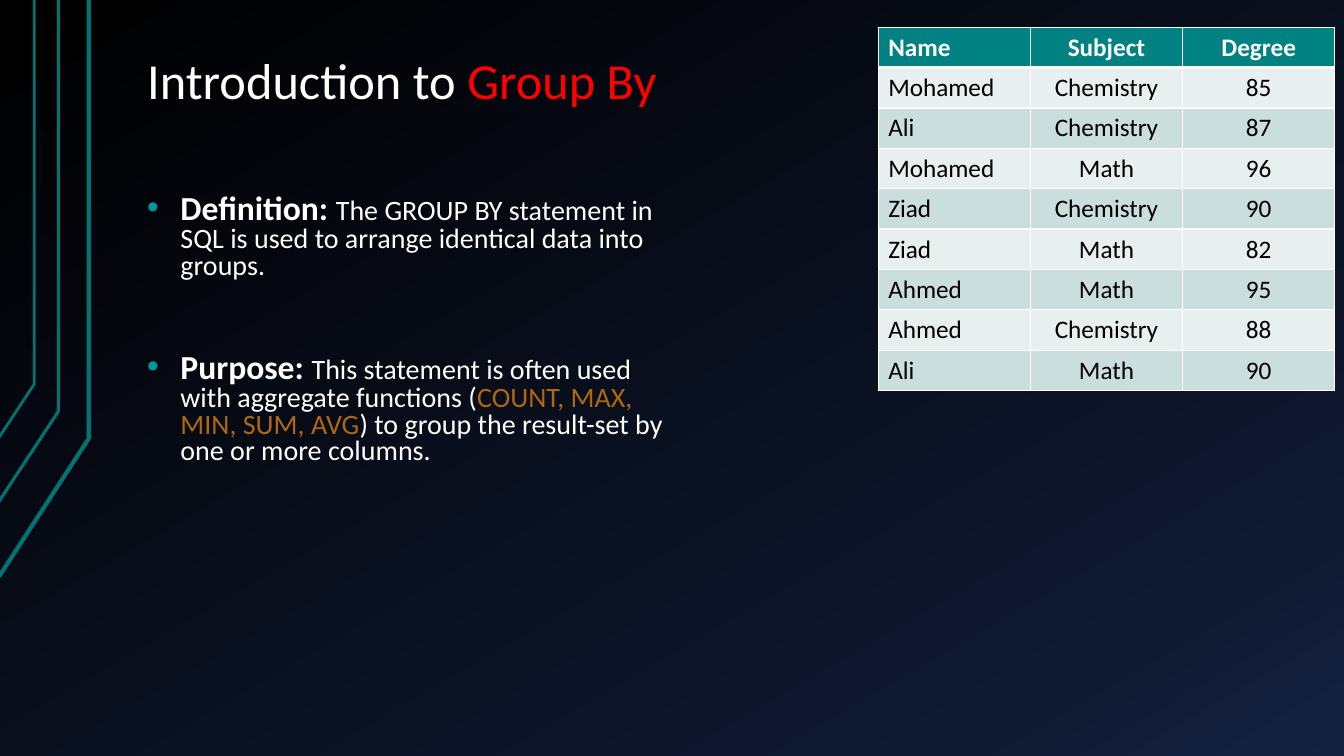
from copy import deepcopy

from lxml import etree
from pptx import Presentation
from pptx.dml.color import RGBColor
from pptx.enum.text import MSO_ANCHOR, PP_ALIGN
from pptx.oxml.ns import qn
from pptx.util import Inches, Pt

TOP, MIDDLE, BOTTOM = MSO_ANCHOR.TOP, MSO_ANCHOR.MIDDLE, MSO_ANCHOR.BOTTOM
LEFT, CENTER = PP_ALIGN.LEFT, PP_ALIGN.CENTER

FONT = "Calibri"
COLORS = {
    "white": "FFFFFF",
    "black": "000000",
    "red": "FF0000",
    "amber": "AF6710",
    "bullet": "009999",
    "trace": "007373",
    "header": "008282",
    "light_row": "E7EFEF",
    "dark_row": "CBDEDE",
    "navy": "0F1931",
    "blue": "142242",
}
BACKGROUND_STOPS = [(0, "black"), (0.85, "navy"), (1, "blue")]
TRACES = [
    ([(-0.01, 5.72), (0.88, 4.35), (0.88, 0)], 3),
    ([(-0.02, 4.99), (0.58, 4.08), (0.58, 0)], 2.25),
    ([(-0.01, 4.34), (0.34, 3.81), (0.34, 0)], 2),
]
GRADES = [
    ("Name", "Subject", "Degree"),
    ("Mohamed", "Chemistry", "85"),
    ("Ali", "Chemistry", "87"),
    ("Mohamed", "Math", "96"),
    ("Ziad", "Chemistry", "90"),
    ("Ziad", "Math", "82"),
    ("Ahmed", "Math", "95"),
    ("Ahmed", "Chemistry", "88"),
    ("Ali", "Math", "90"),
]


def rgb(name):
    return RGBColor.from_string(COLORS[name])


def add_span(para, text, size=20, color="white", bold=False):
    span = para.add_run()
    span.text = text
    span.font.name = FONT
    span.font.size = Pt(size)
    span.font.bold = bold
    span.font.color.rgb = rgb(color)


def add_bullet(para, indent):
    properties = para._p.get_or_add_pPr()
    properties.set("marL", str(Inches(indent)))
    properties.set("indent", str(-Inches(indent)))
    color = etree.SubElement(properties, qn("a:buClr"))
    etree.SubElement(color, qn("a:srgbClr"), val=COLORS["bullet"])
    etree.SubElement(properties, qn("a:buFont"), typeface="Arial")
    etree.SubElement(properties, qn("a:buChar"), char="•")


def add_border(cell, side, width):
    """Draw a white border on one side of a cell: L, R, T or B."""
    properties = cell._tc.get_or_add_tcPr()
    line = etree.SubElement(properties, qn(f"a:ln{side}"), w=str(Pt(width)))
    fill = etree.SubElement(line, qn("a:solidFill"))
    etree.SubElement(fill, qn("a:srgbClr"), val=COLORS["white"])


class SlideBuilder:
    def __init__(self, page):
        self.page = page

    def background(self, stops, angle):
        fill = self.page.background.fill
        fill.gradient()
        fill.gradient_angle = 360 - angle
        stop_list = self.page._element.find(".//" + qn("a:gsLst"))
        while len(stop_list) < len(stops):
            stop_list.append(deepcopy(stop_list[-1]))
        for stop, (position, color) in zip(fill.gradient_stops, stops):
            stop.position = position
            stop.color.rgb = rgb(color)

    def trace(self, points, width):
        """Draw an open, unfilled line through the points."""
        corners = [(Inches(x), Inches(y)) for x, y in points]
        builder = self.page.shapes.build_freeform(*corners[0])
        builder.add_line_segments(corners[1:], close=False)
        shape = builder.convert_to_shape()
        shape.shadow.inherit = False
        shape.fill.background()
        shape.line.color.rgb = rgb("trace")
        shape.line.width = Pt(width)

    def text(self, left, top, width, height, paragraphs, anchor=TOP,
             bottom_inset=0.07, line_spacing=1.0, spaces_before=(0,), bullet_indent=0):
        """Each paragraph is a list of (text, format) pairs."""
        box = self.page.shapes.add_textbox(*map(Inches, (left, top, width, height)))
        frame = box.text_frame
        frame.word_wrap = True
        frame.vertical_anchor = anchor
        frame.margin_left = frame.margin_right = Inches(0.13)
        frame.margin_top = Inches(0.07)
        frame.margin_bottom = Inches(bottom_inset)
        for index, spans in enumerate(paragraphs):
            para = frame.add_paragraph() if index else frame.paragraphs[0]
            para.line_spacing = line_spacing
            para.space_before = Pt(spaces_before[index])
            if bullet_indent:
                add_bullet(para, bullet_indent)
            for words, style in spans:
                add_span(para, words, **style)

    def table(self, left, top, column_width, row_height, rows):
        row_count, column_count = len(rows), len(rows[0])
        table = self.page.shapes.add_table(
            row_count, column_count, Inches(left), Inches(top),
            Inches(column_width * column_count), Inches(row_height * row_count),
        ).table
        for row, values in enumerate(rows):
            for column, value in enumerate(values):
                self.cell(table.cell(row, column), value, row, column)

    def cell(self, cell, value, row, column):
        is_header = row == 0
        widths = {"L": 1, "R": 1, "T": 3 if row == 1 else 1, "B": 3 if is_header else 1}
        for side, width in widths.items():
            add_border(cell, side, width)
        cell.fill.solid()
        band = "light_row" if row % 2 else "dark_row"
        cell.fill.fore_color.rgb = rgb("header" if is_header else band)
        cell.vertical_anchor = MIDDLE
        para = cell.text_frame.paragraphs[0]
        para.alignment = CENTER if column else LEFT
        add_span(para, value, size=18, color="white" if is_header else "black", bold=is_header)


def main():
    deck = Presentation()
    deck.slide_width, deck.slide_height = Inches(13.33), Inches(7.5)
    slide = SlideBuilder(deck.slides.add_slide(deck.slide_layouts[6]))

    slide.background(BACKGROUND_STOPS, angle=60)
    for points, width in TRACES:
        slide.trace(points, width)

    title = [("Introduction to ", {"size": 36}), ("Group By", {"size": 36, "color": "red"})]
    slide.text(1.33, 0.3, 5.96, 1.34, [title], anchor=BOTTOM, bottom_inset=0.62, line_spacing=0.9)

    label = {"size": 24, "bold": True}
    definition = [
        ("Definition: ", label),
        ("The GROUP BY statement in SQL is used to arrange identical data into groups.", {}),
    ]
    purpose = [
        ("Purpose: ", label),
        ("This statement is often used with aggregate functions (", {}),
        ("COUNT, MAX, MIN, SUM, AVG", {"color": "amber"}),
        (") to group the result-set by one or more columns.", {}),
    ]
    slide.text(1.33, 1.86, 5.55, 3.07, [definition, purpose], line_spacing=0.8,
               spaces_before=(16, 52), bullet_indent=0.33)

    slide.table(8.71, 0.27, 1.51, 0.4, GRADES)
    deck.save("out.pptx")


if __name__ == "__main__":
    main()
